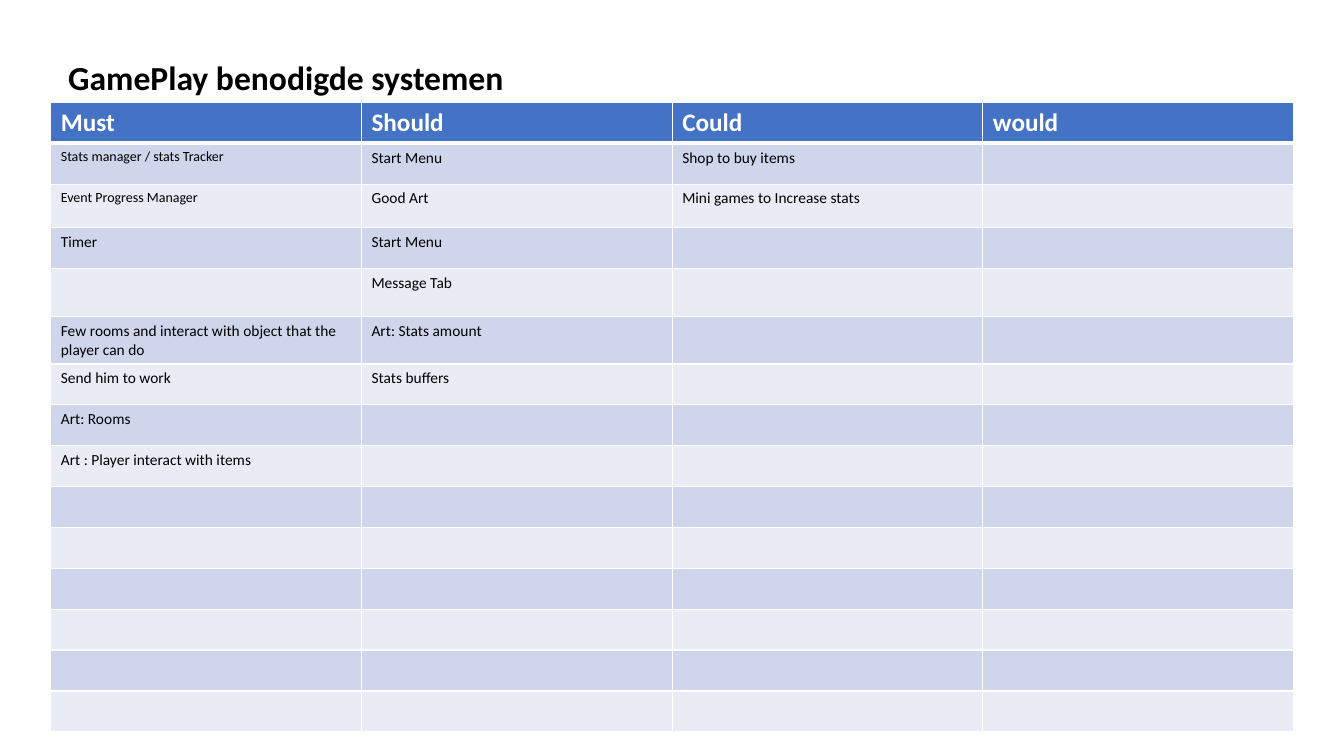
from dataclasses import dataclass

from lxml import etree
from pptx import Presentation
from pptx.dml.color import RGBColor
from pptx.enum.text import MSO_AUTO_SIZE
from pptx.oxml.ns import qn
from pptx.util import Cm, Pt

FIT_SHAPE = MSO_AUTO_SIZE.SHAPE_TO_FIT_TEXT
FONT = "Calibri"
COLORS = {
    "text": "000000",
    "header": "4472C4",
    "odd_row": "CFD5EA",
    "even_row": "E9EBF5",
    "white": "FFFFFF",
}

COLUMN_WIDTH = 7.83
ROW_HEIGHT = 1.03
TALL_ROWS = {2: 1.1, 4: 1.2, 5: 1.2}
ROW_COUNT = 15
THIN, THICK = 1, 3


@dataclass(frozen=True)
class Entry:
    text: str
    size: int = 11


@dataclass(frozen=True)
class Priority:
    heading: str
    entries: tuple[Entry, ...] = ()


PRIORITIES = (
    Priority("Must", (
        Entry("Stats manager / stats Tracker", 10),
        Entry("Event Progress Manager", 10),
        Entry("Timer"),
        Entry(""),
        Entry("Few rooms and interact with object that the player can do"),
        Entry("Send him to work"),
        Entry("Art: Rooms"),
        Entry("Art : Player interact with items"),
    )),
    Priority("Should", (
        Entry("Start Menu"),
        Entry("Good Art"),
        Entry("Start Menu"),
        Entry("Message Tab"),
        Entry("Art: Stats amount"),
        Entry("Stats buffers"),
    )),
    Priority("Could", (
        Entry("Shop to buy items"),
        Entry("Mini games to Increase stats"),
    )),
    Priority("would"),
)


def write_text(paragraph, text: str, size: int, color: str, bold: bool) -> None:
    run = paragraph.add_run()
    run.text = text
    font_format = {"name": FONT, "size": Pt(size), "bold": bold}
    for attribute, value in font_format.items():
        setattr(run.font, attribute, value)
    run.font.color.rgb = RGBColor.from_string(COLORS[color])


def set_borders(cell, top: int, bottom: int) -> None:
    """Put white lines, with widths in points, around a cell."""
    properties = cell._tc.get_or_add_tcPr()
    widths = {"a:lnL": THIN, "a:lnR": THIN, "a:lnT": top, "a:lnB": bottom}
    for position, (tag, width) in enumerate(widths.items()):
        line = etree.Element(qn(tag), w=str(Pt(width)))
        fill = etree.SubElement(line, qn("a:solidFill"))
        etree.SubElement(fill, qn("a:srgbClr"), val=COLORS["white"])
        properties.insert(position, line)


def add_title(slide) -> None:
    shape = slide.shapes.add_textbox(Cm(1.47), Cm(1.3), Cm(11.81), Cm(1.28))
    frame_format = {"word_wrap": False, "auto_size": FIT_SHAPE}
    for attribute, value in frame_format.items():
        setattr(shape.text_frame, attribute, value)
    write_text(shape.text_frame.paragraphs[0], "GamePlay benodigde systemen", 24, "text", True)


def fill_cell(cell, priority: Priority, row: int) -> None:
    is_header = row == 0
    if is_header:
        fill = "header"
        write_text(cell.text_frame.paragraphs[0], priority.heading, 18, "white", True)
    else:
        fill = "odd_row" if row % 2 else "even_row"
        if row <= len(priority.entries) and priority.entries[row - 1].text:
            entry = priority.entries[row - 1]
            write_text(cell.text_frame.paragraphs[0], entry.text, entry.size, "text", False)
    cell.fill.solid()
    cell.fill.fore_color.rgb = RGBColor.from_string(COLORS[fill])
    set_borders(cell, THICK if row == 1 else THIN, THICK if is_header else THIN)


def add_priority_table(slide) -> None:
    heights = [TALL_ROWS.get(row, ROW_HEIGHT) for row in range(ROW_COUNT)]
    table = slide.shapes.add_table(
        ROW_COUNT, len(PRIORITIES), Cm(1.28), Cm(2.58),
        Cm(COLUMN_WIDTH * len(PRIORITIES)), Cm(sum(heights)),
    ).table
    for row, height in enumerate(heights):
        table.rows[row].height = Cm(height)
    for column, priority in enumerate(PRIORITIES):
        table.columns[column].width = Cm(COLUMN_WIDTH)
        for row in range(ROW_COUNT):
            fill_cell(table.cell(row, column), priority, row)


def main() -> None:
    presentation = Presentation()
    presentation.slide_width = Cm(33.87)
    presentation.slide_height = Cm(19.05)
    slide = presentation.slides.add_slide(presentation.slide_layouts[6])

    # Title above the table
    add_title(slide)

    # Systems by priority
    add_priority_table(slide)

    presentation.save("out.pptx")


if __name__ == "__main__":
    main()
